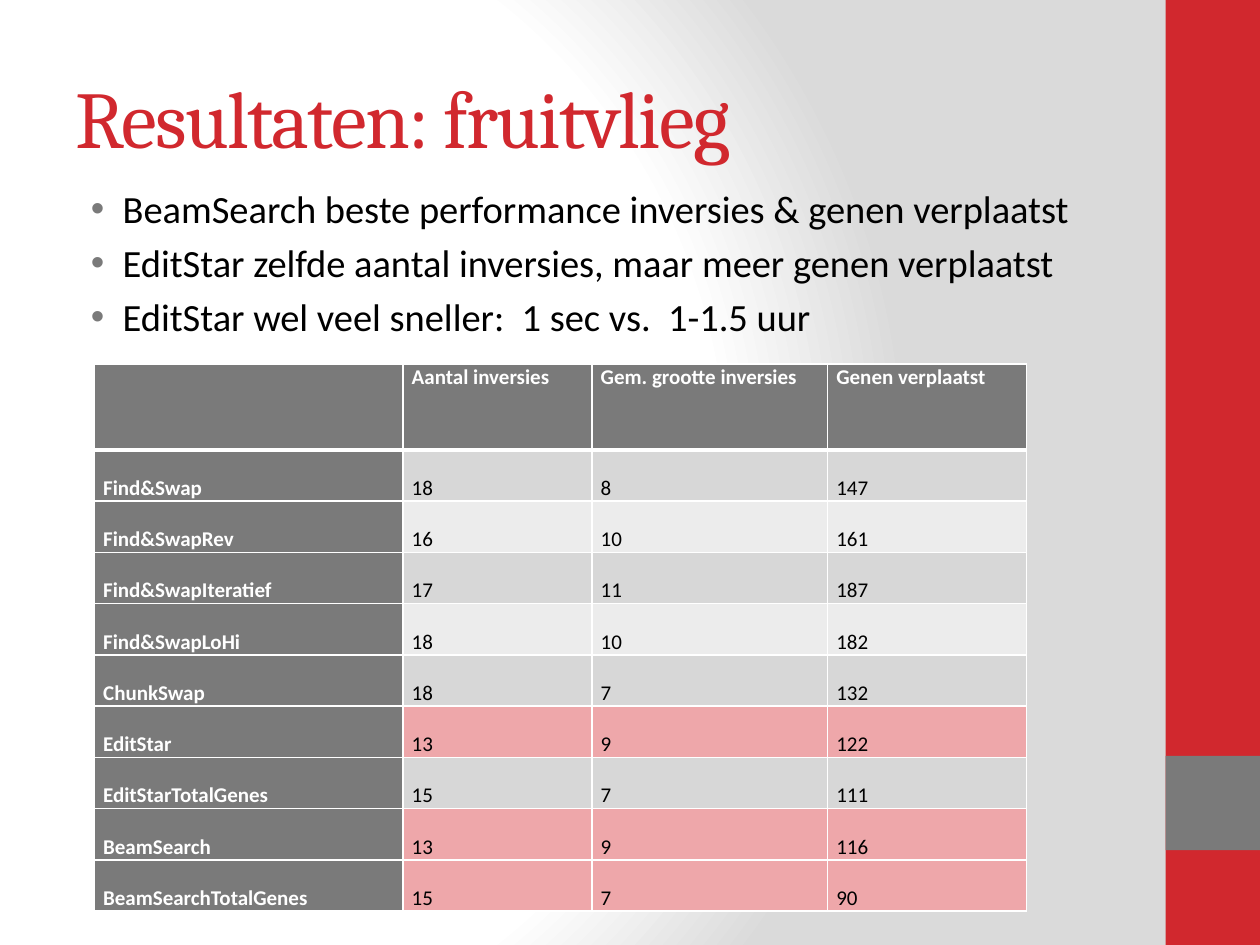
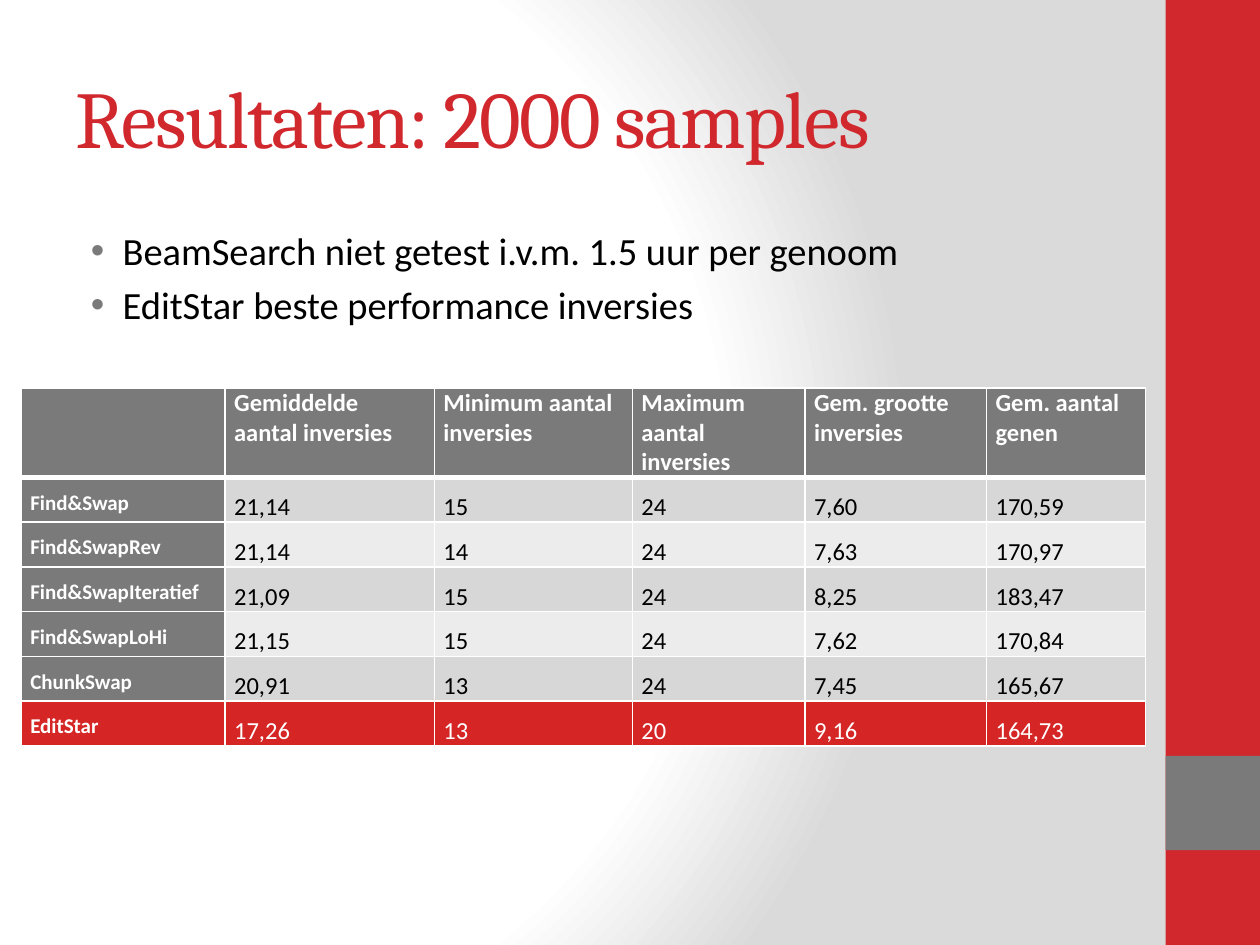
from dataclasses import dataclass

from pptx import Presentation
from pptx import util as u
from pptx.dml.color import RGBColor
from pptx.enum import shapes, text
from pptx.oxml import parse_xml
from pptx.oxml.ns import nsdecls, qn

RED = RGBColor(0xD1, 0x28, 0x2E)
GRAY = RGBColor(0x7A, 0x7A, 0x7A)
WHITE = RGBColor(0xFF, 0xFF, 0xFF)
BLACK = RGBColor(0x00, 0x00, 0x00)
BACKDROP = RGBColor(0xDA, 0xDA, 0xDA)
BAND_DARK = RGBColor(0xD7, 0xD7, 0xD7)
BAND_LIGHT = RGBColor(0xEC, 0xEC, 0xEC)
PINK = RGBColor(0xEE, 0xA7, 0xAA)
BRIGHT_RED = RGBColor(0xD5, 0x25, 0x25)

HEAD_FONT = "Cambria"
BODY_FONT = "Calibri"
SLIDE_W, SLIDE_H = 25.4, 19.05
BAND_W = 1.9
CONTENT_LEFT, CONTENT_W = 1.27, 21.16


@dataclass(frozen=True)
class SideBand:
    top: float
    height: float
    color: RGBColor


@dataclass(frozen=True)
class Row:
    label: str
    values: tuple[str, ...]
    best: bool = False


@dataclass(frozen=True)
class ResultTable:
    left: float
    top: float
    widths: tuple[float, ...]
    header_height: float
    row_height: float
    header: tuple[str, ...]
    rows: tuple[Row, ...]
    size: int
    line_spacing: float
    best_fill: RGBColor
    best_color: RGBColor
    best_label_fill: RGBColor


@dataclass(frozen=True)
class ResultSlide:
    title: str
    bullets: tuple[str, ...]
    bullets_top: float
    table: ResultTable


SIDE_BANDS = (SideBand(0, SLIDE_H, RED), SideBand(15.24, BAND_W, GRAY))

SLIDES = (
    ResultSlide(
        "Resultaten: fruitvlieg",
        ("BeamSearch beste performance inversies & genen verplaatst",
         "EditStar zelfde aantal inversies, maar meer genen verplaatst",
         "EditStar wel veel sneller:  1 sec vs.  1-1.5 uur"),
        3.61,
        ResultTable(
            left=1.9, top=7.34, widths=(6.22, 3.81, 4.75, 4.01),
            header_height=1.73, row_height=1.02,
            header=("", "Aantal inversies", "Gem. grootte inversies", "Genen verplaatst"),
            rows=(
                Row("Find&Swap", ("18", "8", "147")),
                Row("Find&SwapRev", ("16", "10", "161")),
                Row("Find&SwapIteratief", ("17", "11", "187")),
                Row("Find&SwapLoHi", ("18", "10", "182")),
                Row("ChunkSwap", ("18", "7", "132")),
                Row("EditStar", ("13", "9", "122"), best=True),
                Row("EditStarTotalGenes", ("15", "7", "111")),
                Row("BeamSearch", ("13", "9", "116"), best=True),
                Row("BeamSearchTotalGenes", ("15", "7", "90"), best=True),
            ),
            size=12, line_spacing=2.0,
            best_fill=PINK, best_color=BLACK, best_label_fill=GRAY,
        ),
    ),
    ResultSlide(
        "Resultaten: 2000 samples",
        ("BeamSearch niet getest i.v.m. 1.5 uur per genoom",
         "EditStar beste performance inversies"),
        4.45,
        ResultTable(
            left=0.43, top=7.82, widths=(4.11, 4.22, 3.99, 3.48, 3.66, 3.2),
            header_height=1.78, row_height=0.89,
            header=("", "Gemiddelde aantal inversies", "Minimum aantal inversies",
                    "Maximum aantal inversies", "Gem. grootte\ninversies",
                    "Gem. aantal\ngenen"),
            rows=(
                Row("Find&Swap", ("21,14", "15", "24", "7,60", "170,59")),
                Row("Find&SwapRev", ("21,14", "14", "24", "7,63", "170,97")),
                Row("Find&SwapIteratief", ("21,09", "15", "24", "8,25", "183,47")),
                Row("Find&SwapLoHi", ("21,15", "15", "24", "7,62", "170,84")),
                Row("ChunkSwap", ("20,91", "13", "24", "7,45", "165,67")),
                Row("EditStar", ("17,26", "13", "20", "9,16", "164,73"), best=True),
            ),
            size=14, line_spacing=1.5,
            best_fill=BRIGHT_RED, best_color=WHITE, best_label_fill=BRIGHT_RED,
        ),
    ),
)


def write(tf, content: str, *, size: int, color: RGBColor, font: str = BODY_FONT,
          bold: bool = False, line_spacing: float | None = None) -> None:
    tf.text = content
    for p in tf.paragraphs:
        p.alignment = text.PP_ALIGN.LEFT
        p.line_spacing = line_spacing
        for r in p.runs:
            r.font.name = font
            r.font.size = u.Pt(size)
            r.font.bold = bold
            r.font.color.rgb = color


def place(sp, left: float, top: float, width: float, height: float) -> None:
    sp.left, sp.top = u.Cm(left), u.Cm(top)
    sp.width, sp.height = u.Cm(width), u.Cm(height)


def set_background(master) -> None:
    master.background.fill.gradient()
    bg = master.element.find(".//" + qn("p:bgPr"))
    stops = "".join(
        f'<a:gs pos="{pos}"><a:srgbClr val="{color}"/></a:gs>'
        for pos, color in ((0, WHITE), (75000, WHITE), (100000, BACKDROP)))
    bg.replace(bg.find(qn("a:gradFill")), parse_xml(
        f'<a:gradFill {nsdecls("a")} rotWithShape="1"><a:gsLst>{stops}</a:gsLst>'
        '<a:path path="circle"><a:fillToRect l="20000" t="50000" r="100000" b="50000"/>'
        '</a:path></a:gradFill>'))


def add_band(s, band: SideBand) -> None:
    sp = s.shapes.add_shape(
        shapes.MSO_SHAPE.RECTANGLE, u.Cm(SLIDE_W - BAND_W), u.Cm(band.top),
        u.Cm(BAND_W), u.Cm(band.height))
    sp.shadow.inherit = False
    sp.fill.solid()
    sp.fill.fore_color.rgb = band.color
    sp.line.fill.background()


def fill_title(sp, title: str) -> None:
    place(sp, CONTENT_LEFT, 0.76, CONTENT_W, 3.18)
    tf = sp.text_frame
    write(tf, title, size=46, color=RED, font=HEAD_FONT)
    tf.auto_size = text.MSO_AUTO_SIZE.NONE
    tf.vertical_anchor = text.MSO_ANCHOR.MIDDLE
    for r in tf.paragraphs[0].runs:
        r.font._element.set("spc", "-100")


def fill_bullets(sp, bullets: tuple[str, ...], top: float) -> None:
    place(sp, CONTENT_LEFT, top, CONTENT_W, 13.34)
    tf = sp.text_frame
    write(tf, "\n".join(bullets), size=22, color=BLACK)
    tf.auto_size = text.MSO_AUTO_SIZE.NONE
    for p in tf.paragraphs:
        p.space_before = u.Pt(4.4)
        pPr = p._p.get_or_add_pPr()
        pPr.set("marL", str(u.Cm(0.95)))
        pPr.set("indent", str(u.Cm(-0.64)))
        for xml in (f'<a:buClr {nsdecls("a")}><a:srgbClr val="{GRAY}"/></a:buClr>',
                    f'<a:buFont {nsdecls("a")} typeface="Arial"/>',
                    f'<a:buChar {nsdecls("a")} char="•"/>'):
            pPr.append(parse_xml(xml))


def set_borders(cell, top: int, bottom: int) -> None:
    tcPr = cell._tc.get_or_add_tcPr()
    for i, (side, width) in enumerate((("L", 1), ("R", 1), ("T", top), ("B", bottom))):
        tcPr.insert(i, parse_xml(
            f'<a:ln{side} {nsdecls("a")} w="{u.Pt(width)}"><a:solidFill>'
            f'<a:srgbClr val="{WHITE}"/></a:solidFill></a:ln{side}>'))


def fill_cell(cell, content: str, fill: RGBColor, *, top: int = 1, bottom: int = 1,
              **style) -> None:
    cell.margin_left = cell.margin_right = u.Cm(0.18)
    cell.margin_top = cell.margin_bottom = 0
    cell.fill.solid()
    cell.fill.fore_color.rgb = fill
    set_borders(cell, top, bottom)
    write(cell.text_frame, content, **style)


def add_results(s, spec: ResultTable) -> None:
    heights = [spec.header_height] + [spec.row_height] * len(spec.rows)
    table = s.shapes.add_table(
        len(heights), len(spec.widths), u.Cm(spec.left), u.Cm(spec.top),
        u.Cm(sum(spec.widths)), u.Cm(sum(heights))).table
    table.horz_banding = False
    for column, width in zip(table.columns, spec.widths):
        column.width = u.Cm(width)
    for row, height in zip(table.rows, heights):
        row.height = u.Cm(height)
    for j, heading in enumerate(spec.header):
        fill_cell(table.cell(0, j), heading, GRAY, bottom=3,
                  size=spec.size, color=WHITE, bold=True)
    for i, row in enumerate(spec.rows, 1):
        band = BAND_DARK if i % 2 else BAND_LIGHT
        top = 3 if i == 1 else 1
        fill_cell(table.cell(i, 0), row.label,
                  spec.best_label_fill if row.best else GRAY, top=top,
                  size=12, color=WHITE, bold=True, line_spacing=spec.line_spacing)
        for j, value in enumerate(row.values, 1):
            fill_cell(table.cell(i, j), value, spec.best_fill if row.best else band,
                      top=top, size=spec.size,
                      color=spec.best_color if row.best else BLACK,
                      line_spacing=spec.line_spacing)


def add_result_slide(prs, spec: ResultSlide) -> None:
    s = prs.slides.add_slide(prs.slide_layouts[1])
    for band in SIDE_BANDS:
        add_band(s, band)
    fill_title(s.shapes.title, spec.title)
    fill_bullets(s.placeholders[1], spec.bullets, spec.bullets_top)
    add_results(s, spec.table)


def main() -> None:
    prs = Presentation()
    prs.slide_width, prs.slide_height = u.Cm(SLIDE_W), u.Cm(SLIDE_H)
    set_background(prs.slide_master)
    for spec in SLIDES:
        add_result_slide(prs, spec)
    prs.save("out.pptx")


if __name__ == "__main__":
    main()
